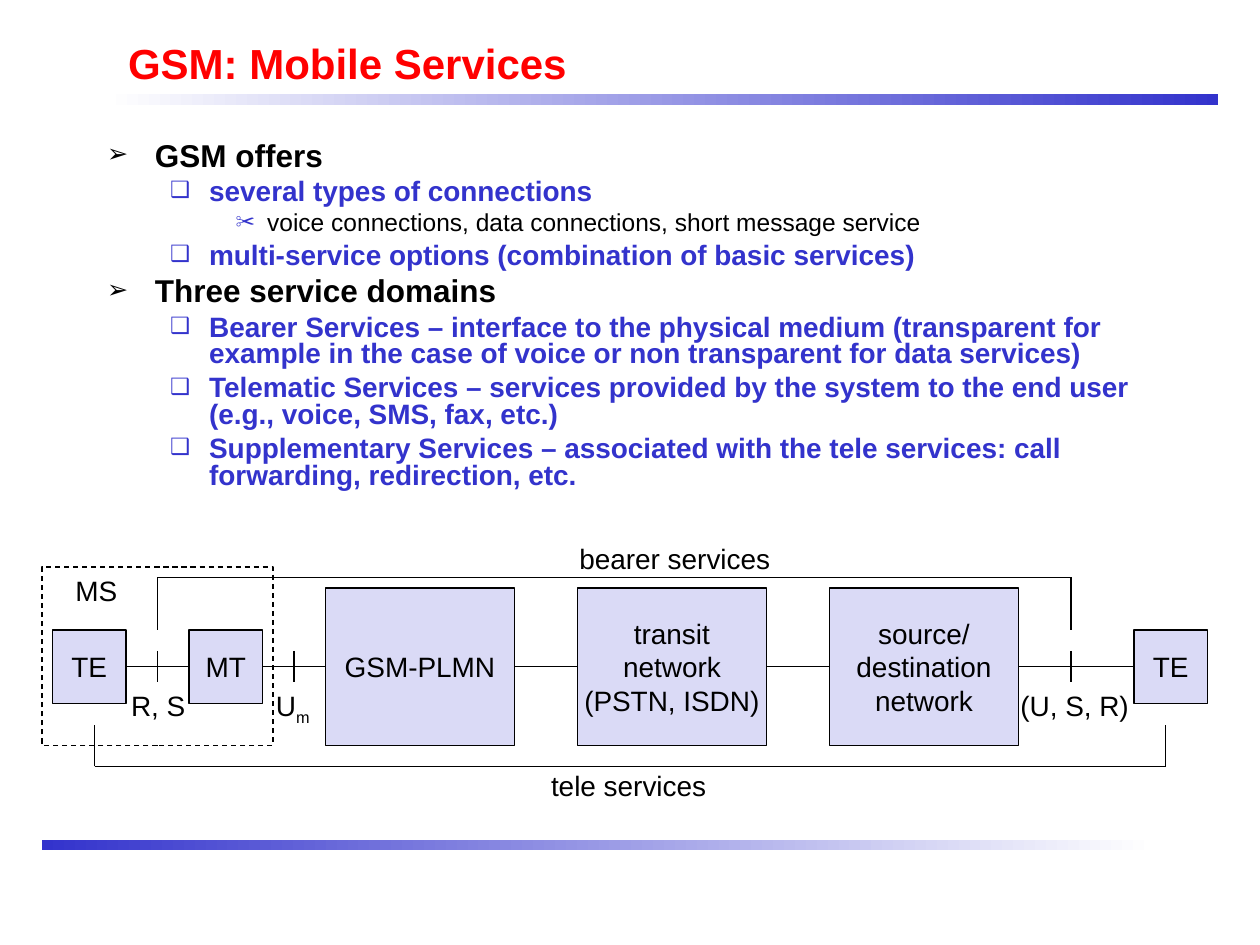
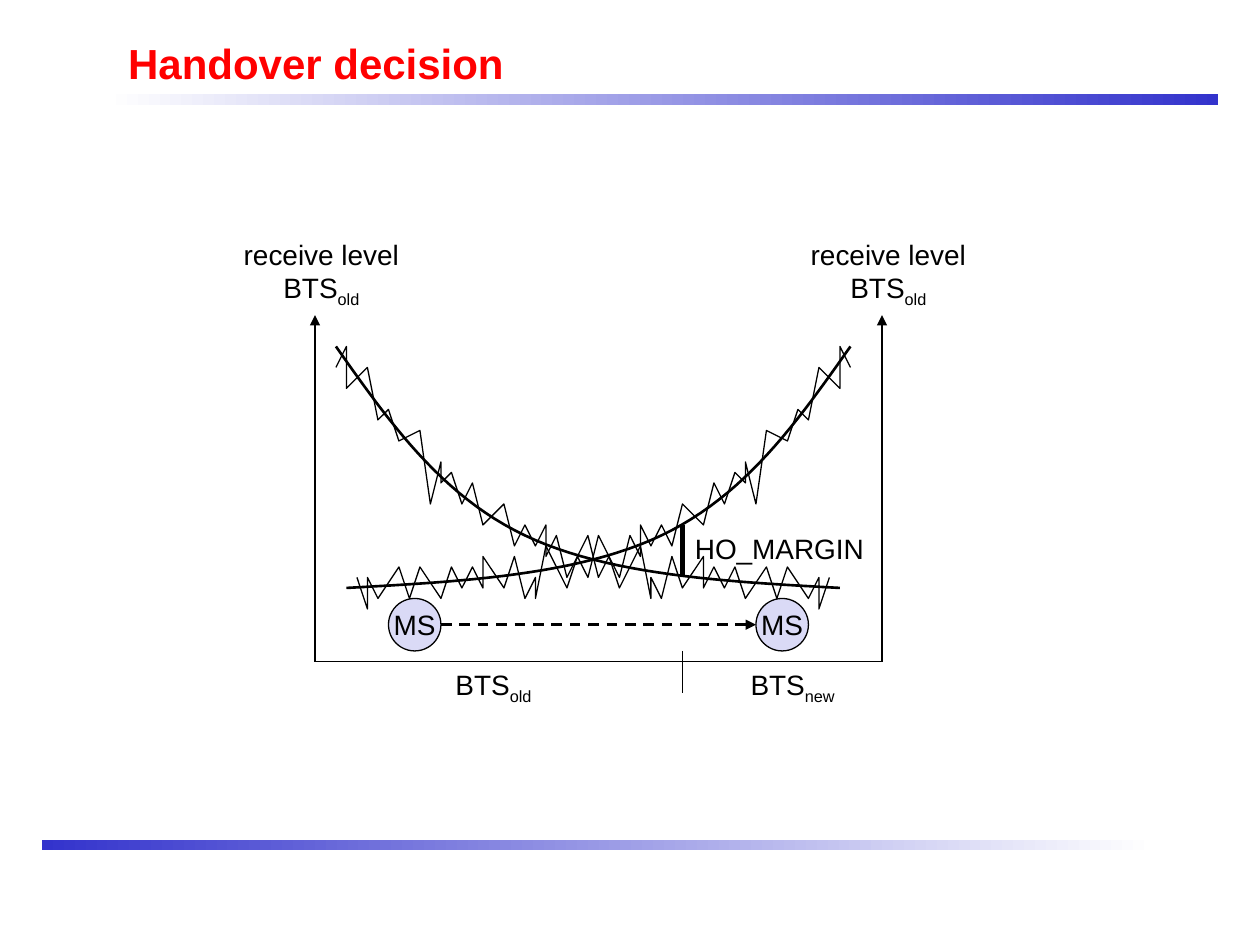
from dataclasses import dataclass

from lxml.etree import SubElement as Sub
from pptx import Presentation
from pptx.dml.color import RGBColor as RGB
from pptx.enum.dml import MSO_LINE as Dash
from pptx.enum.shapes import MSO_CONNECTOR as Link, MSO_SHAPE as Form
from pptx.enum.text import MSO_ANCHOR as Anchor, MSO_AUTO_SIZE as Fit, PP_ALIGN as Align
from pptx.oxml.ns import qn
from pptx.util import Inches, Pt


@dataclass(frozen=True)
class Theme:
    font: str = "Arial"
    ink: str = "000000"
    red: str = "FF0000"
    blue: str = "3333CC"
    pale: str = "DADAF6"
    white: str = "FFFFFF"
    title: int = 24
    label: int = 16
    thin: float = 0.75
    bold: float = 1.5
    heavy: float = 3


@dataclass(frozen=True)
class Level:
    mark: str
    tint: str
    color: str
    size: int
    bold: bool
    left: float
    hang: float
    above: float


T = Theme()
LEVELS = (
    Level("➢", T.ink, T.ink, 18, True, 0.38, 0.38, 4.5),
    Level("❑", T.blue, T.blue, 16, True, 0.81, 0.31, 4),
    Level("✂", T.blue, T.ink, 14, False, 1.27, 0.25, 3.5),
)
POINTS = (
    (0, "GSM offers"),
    (1, "several types of connections"),
    (2, "voice connections, data connections, short message service"),
    (1, "multi-service options (combination of basic services)"),
    (0, "Three service domains"),
    (1, "Bearer Services – interface to the physical medium (transparent for "
        "example in the case of voice or non transparent for data services)"),
    (1, "Telematic Services – services provided by the system to the end user "
        "(e.g., voice, SMS, fax, etc.)"),
    (1, "Supplementary Services – associated with the tele services: call "
        "forwarding, redirection, etc."),
)
# Signal of the old station, in grid units; the new one is its mirror image.
NOISE = (
    (32, 35), (33, 33), (33, 37), (35, 35), (36, 40), (37, 39), (38, 42), (40, 41),
    (41, 48), (42, 44), (42, 46), (43, 45), (44, 48), (45, 46), (46, 50), (48, 48),
    (49, 52), (50, 50), (51, 52), (52, 50), (52, 53), (53, 51), (54, 55), (56, 51),
    (57, 55), (58, 53), (59, 56), (61, 52), (62, 57), (62, 55), (63, 57), (64, 53),
    (65, 56), (67, 53), (67, 56), (68, 54), (69, 56), (70, 54), (71, 57), (73, 54),
    (74, 57), (75, 54), (77, 57), (78, 55), (78, 58), (79, 55),
)
MEAN = (
    ((32, 33), (37, 40.1), (42, 47.2), (50, 51)),
    ((50, 51), (58, 54.8), (69, 55.4), (80, 56)),
)
MIRROR = 113


def grid(*units):
    """Turn grid units, twelve to the inch, into lengths."""
    return [Inches(n / 12) for n in units]


def put(para, text, size=T.label, color=T.ink, bold=False, align=Align.LEFT):
    """Write one line; what follows a ~ is set as a subscript."""
    para.alignment = align
    for n, part in enumerate(text.split("~")):
        run = para.add_run()
        run.text = part
        font = run.font
        font.name, font.size, font.bold = T.font, Pt(size), bold
        font.color.rgb = RGB.from_string(color)
        if n:
            run._r.get_or_add_rPr().set("baseline", "-25000")


def write(frame, text, **style):
    for n, line in enumerate(text.split("\n")):
        put(frame.add_paragraph() if n else frame.paragraphs[0], line, **style)


def place(shape, *area):
    shape.left, shape.top, shape.width, shape.height = grid(*area)


def stroke(line, width=T.thin, dash=None):
    line.color.rgb = RGB.from_string(T.ink)
    line.width = Pt(width)
    if dash:
        line.dash_style = dash


def block(slide, area, text="", form=Form.RECTANGLE, fill=T.pale, dash=None):
    shape = slide.shapes.add_shape(form, *grid(*area))
    shape.shadow.inherit = False
    stroke(shape.line, dash=dash)
    if fill:
        shape.fill.solid()
        shape.fill.fore_color.rgb = RGB.from_string(fill)
    else:
        shape.fill.background()
    if text:
        frame = shape.text_frame
        frame.word_wrap = False
        frame.vertical_anchor = Anchor.MIDDLE
        write(frame, text, align=Align.CENTER)


def label(slide, area, text, align=Align.LEFT):
    frame = slide.shapes.add_textbox(*grid(*area)).text_frame
    frame.word_wrap = False
    frame.auto_size = Fit.SHAPE_TO_FIT_TEXT
    write(frame, text, align=align)


def wire(slide, start, end, width=T.thin, dash=None, arrow=False):
    link = slide.shapes.add_connector(Link.STRAIGHT, *grid(*start, *end))
    stroke(link.line, width, dash)
    if arrow:
        Sub(link.line._get_or_add_ln(), qn("a:tailEnd"), type="triangle")
    Sub(link.element.spPr, qn("a:effectLst"))


def bracket(slide, left, right, level, tip):
    wire(slide, (left, level), (right, level))
    for x in (left, right):
        wire(slide, (x, level), (x, tip))


def trace(slide, points, width=T.thin):
    first, *rest = [grid(*point) for point in points]
    path = slide.shapes.build_freeform(*first, scale=1.0)
    path.add_line_segments(rest, close=False)
    shape = path.convert_to_shape()
    shape.shadow.inherit = False
    shape.fill.background()
    stroke(shape.line, width)


def curve(parts, steps=24):
    """Sample a chain of cubic Bezier parts."""
    points = [parts[0][0]]
    for part in parts:
        for n in range(1, steps + 1):
            t = n / steps
            s = 1 - t
            mix = (s ** 3, 3 * s * s * t, 3 * s * t * t, t ** 3)
            points.append([sum(m * v for m, v in zip(mix, axis)) for axis in zip(*part)])
    return points


def flip(points):
    return [(MIRROR - x, y) for x, y in points]


def add_bands(deck, slide):
    """Draw the two fading bands and hand them to the slide master."""
    bands = (((10, 9, 106, 1), (T.white, T.blue)), ((4, 80, 106, 1), (T.blue, T.white)))
    for n, (area, colors) in enumerate(bands):
        band = slide.shapes.add_shape(Form.RECTANGLE, *grid(*area))
        band.shadow.inherit = False
        band.line.fill.background()
        band.fill.gradient()
        band.fill.gradient_angle = 0
        for stop, color in zip(band.fill.gradient_stops, colors):
            stop.color.rgb = RGB.from_string(color)
        band.element.nvSpPr.cNvPr.set("id", str(20 + n))
        deck.slide_master.shapes.element.append(band.element)


def new_slide(deck, layout, title):
    slide = deck.slides.add_slide(deck.slide_layouts.get_by_name(layout))
    head = slide.shapes.title
    place(head, 11, 3, 102, 6)
    frame = head.text_frame
    frame.auto_size = Fit.NONE
    frame.vertical_anchor = Anchor.MIDDLE
    write(frame, title, size=T.title, color=T.red, bold=True)
    return slide


def add_list(slide, points):
    body = slide.placeholders[1]
    place(body, 9, 13, 102, 37)
    frame = body.text_frame
    frame.auto_size = Fit.NONE
    for n, (depth, text) in enumerate(points):
        para = frame.add_paragraph() if n else frame.paragraphs[0]
        look = LEVELS[depth]
        put(para, text, size=look.size, color=look.color, bold=look.bold)
        para.level = depth
        para.line_spacing = 0.8
        para.space_before = Pt(look.above)
        props = para._p.get_or_add_pPr()
        props.set("marL", str(Inches(look.left)))
        props.set("indent", str(-Inches(look.hang)))
        Sub(Sub(props, qn("a:buClr")), qn("a:srgbClr"), val=look.tint)
        Sub(props, qn("a:buSzPct"), val="80000")
        Sub(props, qn("a:buChar"), char=look.mark)


def draw_network(slide):
    nets = ("GSM-PLMN", "transit\nnetwork\n(PSTN, ISDN)", "source/\ndestination\nnetwork")
    for n, name in enumerate(nets):
        block(slide, (31 + 24 * n, 56, 18, 15), name)
    for x, name in ((5, "TE"), (18, "MT"), (108, "TE")):
        block(slide, (x, 60, 7, 7), name)
    for left, right in ((12, 18), (25, 31), (49, 55), (73, 79), (97, 108)):
        wire(slide, (left, 63.5), (right, 63.5))
    for x in (15, 28, 102):
        wire(slide, (x, 62), (x, 65))
    bracket(slide, 15, 102, 55, 60)
    bracket(slide, 9, 111, 73, 69)
    block(slide, (4, 54, 22, 17), fill=None, dash=Dash.DASH)
    label(slide, (6, 54, 6.4, 4.4), "MS")
    label(slide, (54, 51, 20.6, 4.4), "bearer services")
    label(slide, (51.3, 72.6, 17.2, 4.4), "tele services")
    label(slide, (11.3, 65, 7.6, 4.4), "R, S")
    label(slide, (25.1, 65, 5.6, 4.9), "U~m")
    label(slide, (96, 65, 12.8, 4.4), "(U, S, R)")


def draw_handover(slide):
    for x in (30, 84):
        wire(slide, (x, 63), (x, 30), arrow=True)
        label(slide, (x - 8, 22, 17.2, 8), "receive level\nBTS~old", align=Align.CENTER)
    wire(slide, (30, 63), (84, 63))
    for x in (37, 72):
        block(slide, (x, 57, 5, 5), "MS", form=Form.OVAL)
    wire(slide, (42, 59.5), (72, 59.5), T.bold, Dash.DASH, arrow=True)
    for points, width in ((curve(MEAN), T.bold), (NOISE, T.thin)):
        trace(slide, points, width)
        trace(slide, flip(points), width)
    wire(slide, (65, 55), (65, 50), T.heavy)
    wire(slide, (65, 62), (65, 66))
    label(slide, (65, 50, 18.6, 4.4), "HO_MARGIN")
    label(slide, (42.2, 63, 9.7, 4.9), "BTS~old")
    label(slide, (70.3, 63, 10.4, 4.9), "BTS~new")


def main():
    deck = Presentation()
    deck.slide_width, deck.slide_height = Inches(10), Inches(7.5)
    mobile = new_slide(deck, "Title and Content", "GSM: Mobile Services")
    add_bands(deck, mobile)
    add_list(mobile, POINTS)
    draw_network(mobile)
    draw_handover(new_slide(deck, "Title Only", "Handover decision"))
    deck.save("out.pptx")


if __name__ == "__main__":
    main()
